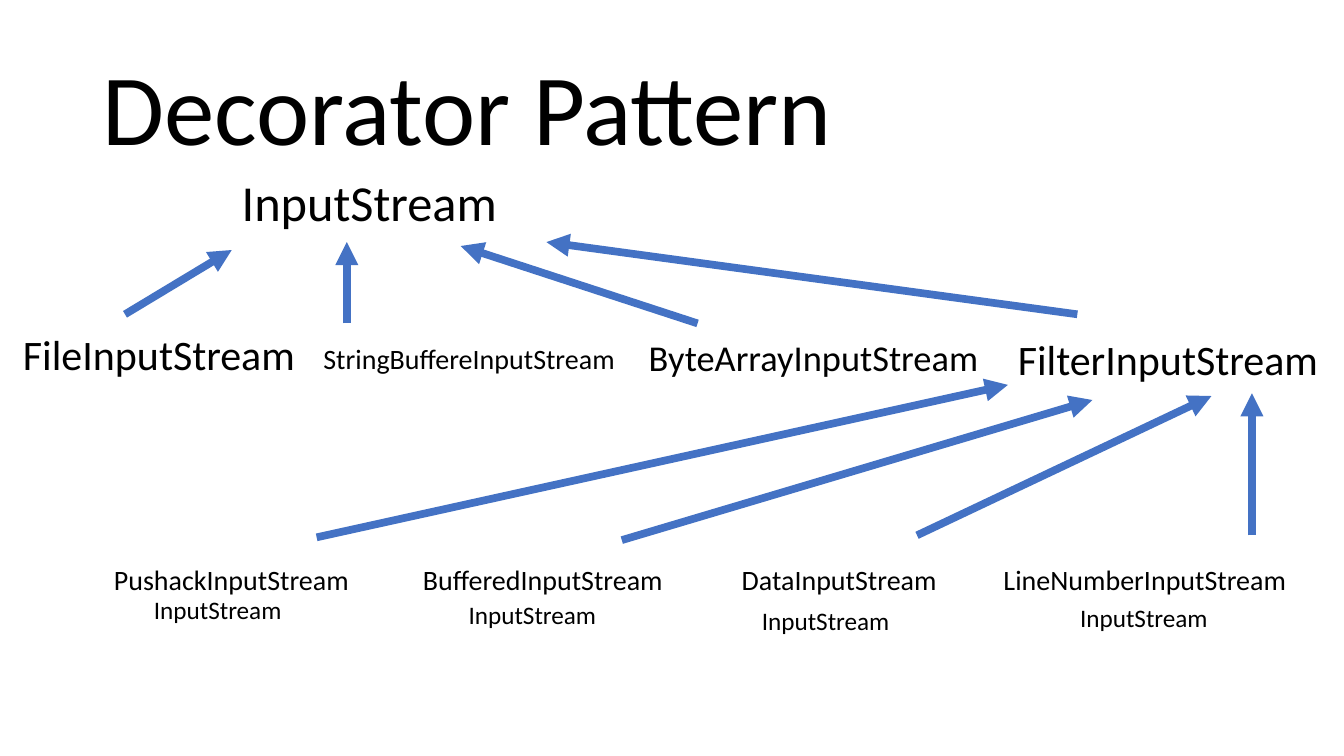
from lxml import etree
from pptx import Presentation
from pptx import util as u
from pptx.dml.color import RGBColor
from pptx.enum import shapes, text
from pptx.oxml import ns

INK = RGBColor(0x00, 0x00, 0x00)
BLUE = RGBColor(0x44, 0x72, 0xC4)
FONT = "Calibri"
BASE = "InputStream"

STREAMS = [
    ("FileInputStream", 30, (0, 2.05, 7.92, 1.55), (2.82, 1.82, 5.51, 0.2)),
    ("StringBuffereInputStream", 20, (7.57, 2.38, 7.92, 1.12), (8.41, 2.05, 8.41, 0)),
    ("ByteArrayInputStream", 26, (15.77, 2.23, 9.02, 1.37), (17.25, 2.05, 11.28, 0.1)),
    ("FilterInputStream", 30, (25.07, 2.18, 8.13, 1.55), (26.82, 1.82, 13.44, 0)),
]
FILTERS = [
    ("PushackInputStream", 0, (1.01, 5.16), (5.36, 3.84, 22.78, 0)),
    ("BufferedInputStream", 7.79, (8.94, 5.29), (13.05, 3.91, 24.91, 0.38)),
    ("DataInputStream", 15.82, (16.33, 5.44), (20.49, 3.79, 27.91, 0.28)),
    ("LineNumberInputStream", 22.42, (24.35, 5.36), (28.93, 3.79, 28.93, 0.21)),
]


def label(slide, box, words, size):
    """Put one line of text in the box and return its frame."""
    frame = slide.shapes.add_textbox(*map(u.Cm, box)).text_frame
    frame.word_wrap = True
    run = frame.paragraphs[0].add_run()
    run.text = words
    run.font.size = u.Pt(size)
    run.font.name = FONT
    run.font.color.rgb = INK
    return frame


def arrow(slide, ends):
    """Draw a thick blue arrow from the first point to the second."""
    line = slide.shapes.add_connector(shapes.MSO_CONNECTOR.STRAIGHT, *map(u.Cm, ends))
    line.line.color.rgb = BLUE
    line.line.width = u.Pt(5.5)
    etree.SubElement(line.line._get_or_add_ln(), ns.qn("a:tailEnd"), type="triangle")
    etree.SubElement(line._element.spPr, ns.qn("a:effectLst"))


def title(slide, box):
    """Place the slide title, centred on the height of its box."""
    frame = label(slide, box, "Decorator Pattern", 72)
    frame.vertical_anchor = text.MSO_ANCHOR.MIDDLE
    frame.paragraphs[0].line_spacing = 0.9


def streams(slide, box):
    """Place the direct subclasses and their arrows to the base class."""
    left, top = box
    for name, size, (x, y, wide, high), (x1, y1, x2, y2) in STREAMS:
        label(slide, (left + x, top + y, wide, high), name, size)
        arrow(slide, (left + x1, top + y1, left + x2, top + y2))


def filters(slide, box):
    """Place the decorators, the stream each wraps, and their arrows."""
    left, top = box
    for name, x, (sub_x, sub_y), (x1, y1, x2, y2) in FILTERS:
        label(slide, (left + x, top + 4.35, 7.92, 1.12), name, 20)
        label(slide, (left + sub_x, top + sub_y, 4.42, 1.02), BASE, 18)
        arrow(slide, (left + x1, top + y1, left + x2, top + y2))


def main():
    """Build the slide and save it."""
    deck = Presentation()
    deck.slide_width, deck.slide_height = u.Cm(33.87), u.Cm(19.05)
    slide = deck.slides.add_slide(deck.slide_layouts[6])
    title(slide, (2.33, 1.01, 29.21, 3.68))
    label(slide, (5.84, 4.19, 7.92, 1.8), BASE, 36)
    streams(slide, (0.33, 6.1))
    filters(slide, (2.62, 9.7))
    deck.save("out.pptx")


if __name__ == "__main__":
    main()
